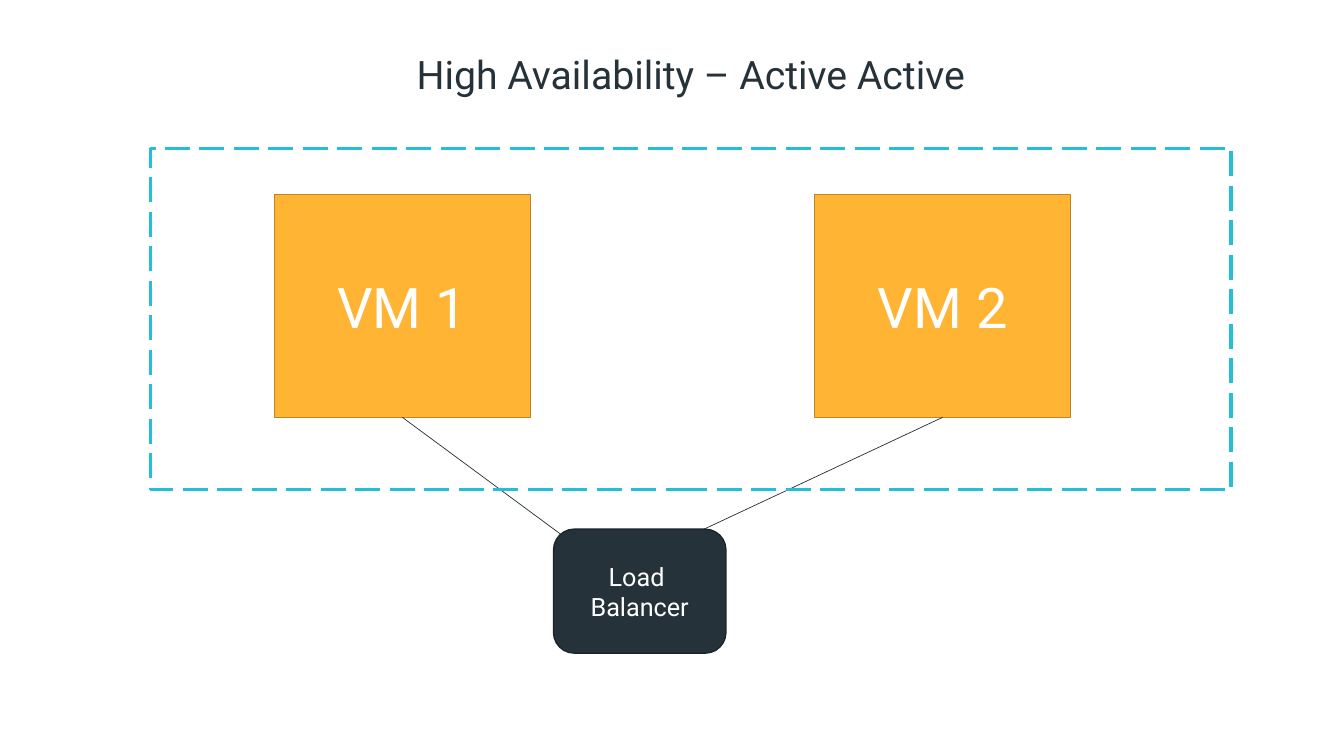
from pptx import Presentation
from pptx.dml.color import RGBColor
from pptx.enum.dml import MSO_LINE_DASH_STYLE as Dash
from pptx.enum.shapes import MSO_CONNECTOR as Link, MSO_SHAPE as Preset
from pptx.enum.text import MSO_ANCHOR as Anchor, PP_ALIGN as Align
from pptx.oxml.ns import qn
from pptx.util import Emu, Pt
from lxml.etree import SubElement

EMU_PER_PX = 9144
FONT = "Roboto"
WHITE = RGBColor(0xFF, 0xFF, 0xFF)
INK = RGBColor(0x26, 0x32, 0x3A)
INK_EDGE = RGBColor(0x1C, 0x25, 0x2B)
AMBER = RGBColor(0xFF, 0xB4, 0x34)
AMBER_EDGE = RGBColor(0xBD, 0x85, 0x26)
CYAN = RGBColor(0x24, 0xBE, 0xD8)


def px(*lengths):
    return [Emu(length * EMU_PER_PX) for length in lengths]


def write(frame, lines, size, color):
    frame.word_wrap = True
    for index, line in enumerate(lines):
        para = frame.paragraphs[0] if index == 0 else frame.add_paragraph()
        para.alignment = Align.CENTER
        span = para.add_run()
        span.text = line
        for name, value in {"name": FONT, "size": Pt(size)}.items():
            setattr(span.font, name, value)
        span.font.color.rgb = color


def add_title(page, box, text):
    title = page.shapes.add_textbox(*px(*box))
    write(title.text_frame, [text], 28, INK)


def add_block(page, box, preset, fill, edge, lines, size):
    block = page.shapes.add_shape(preset, *px(*box))
    block.shadow.inherit = False
    block.fill.solid()
    block.fill.fore_color.rgb = fill
    block.line.color.rgb = edge
    block.line.width = Pt(1)
    block.text_frame.vertical_anchor = Anchor.MIDDLE
    write(block.text_frame, lines, size, WHITE)


def add_link(page, start, end):
    link = page.shapes.add_connector(Link.STRAIGHT, *px(*start, *end))
    link.line.color.rgb = INK
    link.line.width = Pt(0.5)
    SubElement(link._element.spPr, qn("a:effectLst"))


def add_machines(page, box, names, link_ends):
    left, top, width, height = box
    machine_width, machine_height = 254, 221
    pitch = width // 2
    for index, (name, end) in enumerate(zip(names, link_ends)):
        x, y = left + 123 + index * pitch, top + 46
        add_block(page, (x, y, machine_width, machine_height),
                  Preset.RECTANGLE, AMBER, AMBER_EDGE, [name], 40)
        add_link(page, (x + machine_width // 2, y + machine_height), end)


def add_boundary(page, box):
    boundary = page.shapes.add_shape(Preset.RECTANGLE, *px(*box))
    boundary.shadow.inherit = False
    boundary.fill.background()
    boundary.line.color.rgb = CYAN
    for name, value in {"width": Pt(2.25), "dash_style": Dash.LONG_DASH}.items():
        setattr(boundary.line, name, value)


def main():
    deck = Presentation()
    deck.slide_width, deck.slide_height = px(1333, 750)
    page = deck.slides.add_slide(deck.slide_layouts[6])
    cluster = (149, 147, 1072, 339)
    add_title(page, (123, 45, 1124, 57), "High Availability – Active Active")
    add_machines(page, cluster, ["VM 1", "VM 2"], [(613, 572), (598, 572)])
    add_block(page, (549, 525, 171, 123), Preset.ROUNDED_RECTANGLE,
              INK, INK_EDGE, ["Load ", "Balancer"], 18)
    add_boundary(page, cluster)
    deck.save("out.pptx")


if __name__ == "__main__":
    main()
